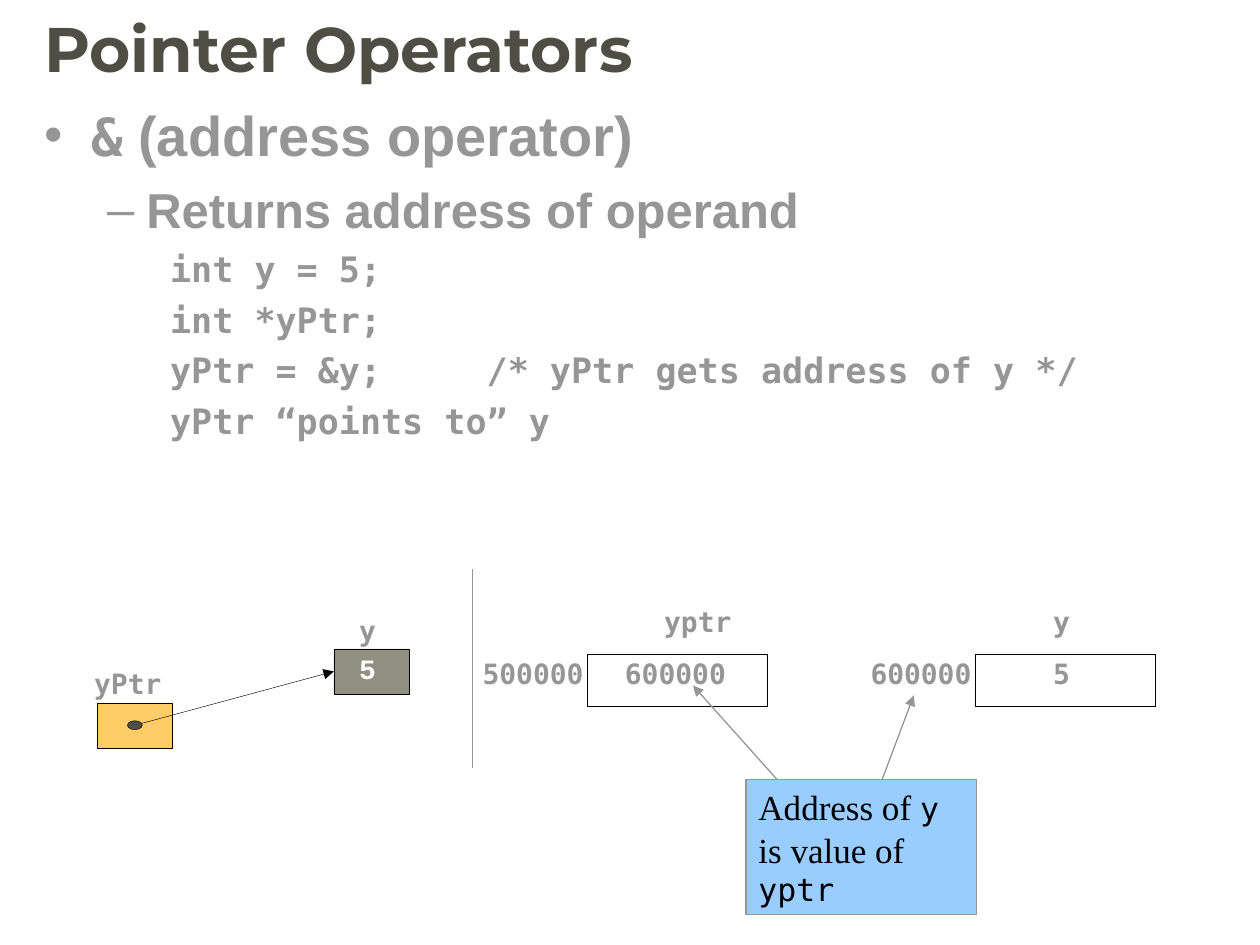
import dataclasses

import pptx
import pptx.dml.color
import pptx.enum.shapes
import pptx.enum.text
import pptx.oxml.ns
import pptx.util
from lxml import etree
from pptx.util import Cm

SHAPES = pptx.enum.shapes.MSO_SHAPE
ANCHORS = pptx.enum.text.MSO_ANCHOR


@dataclasses.dataclass(frozen=True)
class Theme:
    """Colours, fonts and type sizes of the slide."""

    dark: str = "4E4E44"
    gray: str = "969696"
    black: str = "000000"
    white: str = "FFFFFF"
    orange: str = "FFCC66"
    olive: str = "909082"
    blue: str = "99CCFF"
    heading: str = "Montserrat"
    sans: str = "Arial"
    serif: str = "Times New Roman"
    code: str = "DejaVu Sans Mono"
    digit: str = "Courier New"
    title_size: int = 36
    point_size: int = 32
    operator_size: int = 30
    detail_size: int = 28
    code_size: int = 20
    callout_size: int = 20
    callout_code_size: int = 18
    label_size: int = 16
    thin: float = 0.25
    medium: float = 0.75


THEME = Theme()


def rgb(value):
    """Turn a hex string into a colour."""
    return pptx.dml.color.RGBColor.from_string(value)


def add_element(parent, tag, **attributes):
    """Append a drawing element with attributes."""
    return etree.SubElement(parent, pptx.oxml.ns.qn(tag), attributes)


def format_span(span, font, size, color, bold=True):
    """Give a run its font, size, colour and weight."""
    span.font.name = font
    span.font.size = pptx.util.Pt(size)
    span.font.color.rgb = rgb(color)
    span.font.bold = bold


def add_spans(para, pieces, color, bold=True):
    """Add runs given as text, font and size."""
    for text, font, size in pieces:
        span = para.add_run()
        span.text = text
        format_span(span, font, size, color, bold)


def indent(para, margin, hanging, before, bullet=None):
    """Set indents, space before and an optional bullet."""
    para.space_before = pptx.util.Pt(before)
    properties = para._p.get_or_add_pPr()
    properties.set("marL", str(Cm(margin)))
    properties.set("indent", str(-Cm(hanging)))
    if bullet:
        color = add_element(properties, "a:buClr")
        add_element(color, "a:srgbClr", val=THEME.gray)
        add_element(properties, "a:buFont", typeface=THEME.sans)
        add_element(properties, "a:buChar", char=bullet)
    else:
        add_element(properties, "a:buNone")


def add_box(page, left, top, width, height, inset=True):
    """Add a wrapping text box."""
    box = page.shapes.add_textbox(Cm(left), Cm(top), Cm(width), Cm(height))
    frame = box.text_frame
    frame.word_wrap = True
    if not inset:
        frame.margin_left = frame.margin_right = 0
        frame.margin_top = frame.margin_bottom = 0
    return box


def add_label(page, text, left, top, width, height, spacing,
              font=THEME.code, color=THEME.gray):
    """Add a small bold label without insets."""
    box = add_box(page, left, top, width, height, inset=False)
    box.text_frame.text = text
    para = box.text_frame.paragraphs[0]
    para.line_spacing = spacing
    format_span(para.runs[0], font, THEME.label_size, color)


def add_figure(page, kind, left, top, width, height, fill=None,
               line=THEME.black, weight=THEME.thin):
    """Add a preset shape with an optional fill."""
    figure = page.shapes.add_shape(kind, Cm(left), Cm(top), Cm(width), Cm(height))
    figure.shadow.inherit = False
    if fill:
        figure.fill.solid()
        figure.fill.fore_color.rgb = rgb(fill)
    else:
        figure.fill.background()
    figure.line.color.rgb = rgb(line)
    figure.line.width = pptx.util.Pt(weight)
    return figure


def add_line(page, start, end, color=THEME.gray, weight=THEME.medium, arrow=True):
    """Add a straight line, with an arrowhead at its end if wanted."""
    line = page.shapes.add_connector(
        pptx.enum.shapes.MSO_CONNECTOR.STRAIGHT, *map(Cm, start + end))
    line.line.color.rgb = rgb(color)
    line.line.width = pptx.util.Pt(weight)
    if arrow:
        add_element(line.line._get_or_add_ln(), "a:tailEnd", type="triangle")
    add_element(line._element.spPr, "a:effectLst")
    return line


def add_title(page):
    """Add the slide title."""
    box = add_box(page, 0.64, 0, 21.79, 1.9)
    box.text_frame.vertical_anchor = ANCHORS.MIDDLE
    box.text_frame.text = "Pointer Operators"
    span = box.text_frame.paragraphs[0].runs[0]
    format_span(span, THEME.heading, THEME.title_size, THEME.dark)


def add_body(page):
    """Add the bullet points and the code lines."""
    frame = add_box(page, 0.64, 1.9, 21.79, 16.31).text_frame
    para = frame.paragraphs[0]
    indent(para, 0.95, 0.95, 8, "•")
    add_spans(para, [("&", THEME.code, THEME.operator_size),
                     (" (address operator)", THEME.sans, THEME.point_size)], THEME.gray)
    para = frame.add_paragraph()
    indent(para, 2.06, 0.79, 7, "–")
    add_spans(para, [("Returns address of operand", THEME.sans, THEME.detail_size)],
              THEME.gray)
    lines = [["int y = 5;"], ["int *yPtr;"],
             ["yPtr = &y;", " ", "/* yPtr gets address of y */"],
             ["yPtr “points to” y"]]
    for pieces in lines:
        para = frame.add_paragraph()
        indent(para, 3.18, 0.64, 5)
        add_spans(para, [(text, THEME.code, THEME.code_size) for text in pieces],
                  THEME.gray)
        for span in para.runs:
            if span.text == " ":
                span.font._element.set("spc", "4820")


def add_pointer_diagram(page):
    """Draw yPtr pointing to y."""
    add_figure(page, SHAPES.RECTANGLE, 1.96, 14.17, 1.52, 0.91, THEME.orange)
    target = add_figure(page, SHAPES.RECTANGLE, 6.73, 13.08, 1.52, 0.91, THEME.olive)
    arrow = add_line(page, (2.72, 14.62), (6.73, 13.54), THEME.black, THEME.thin)
    arrow.end_connect(target, 1)
    add_figure(page, SHAPES.OVAL, 2.57, 14.53, 0.3, 0.18, THEME.dark)
    add_label(page, "yPtr", 1.9, 13.61, 1.6, 0.53, 0.72)
    add_label(page, "y", 7.24, 12.55, 0.51, 0.53, 0.72)
    add_label(page, "5", 7.24, 13.31, 0.51, 0.53, 0.72, THEME.digit, THEME.white)


def add_memory_cell(page, left, address, name, name_left, value, value_left):
    """Draw a memory cell with its address, name and value."""
    add_label(page, name, name_left, 12.32, 1.42, 0.81, 0.8)
    add_label(page, address, left - 2.11, 13.36, 2.08, 0.81, 0.8)
    add_label(page, value, value_left, 13.36, 2.08, 0.81, 0.8)
    add_figure(page, SHAPES.RECTANGLE, left, 13.18, 3.63, 1.05)


def add_callout(page):
    """Add the blue note and its two arrows."""
    box = add_figure(page, SHAPES.RECTANGLE, 15.04, 15.72, 4.65, 2.72,
                     THEME.blue, THEME.gray, THEME.medium)
    frame = box.text_frame
    frame.word_wrap = True
    frame.auto_size = pptx.enum.text.MSO_AUTO_SIZE.SHAPE_TO_FIT_TEXT
    frame.vertical_anchor = ANCHORS.TOP
    para = frame.paragraphs[0]
    para.alignment = pptx.enum.text.PP_ALIGN.LEFT
    para.space_before = pptx.util.Pt(11.2)
    words = (THEME.serif, THEME.callout_size)
    code = (THEME.code, THEME.callout_code_size)
    add_spans(para, [("Address of ", *words), ("y", *code),
                     (" is value of ", *words), ("yptr", *code)],
              THEME.black, bold=False)
    add_line(page, (17.78, 15.72), (18.42, 14.02))
    add_line(page, (15.67, 15.72), (13.97, 13.82))


def main():
    """Build and save the slide."""
    deck = pptx.Presentation()
    deck.slide_width, deck.slide_height = Cm(25.4), Cm(19.05)
    page = deck.slides.add_slide(deck.slide_layouts[6])
    add_title(page)
    add_body(page)
    add_pointer_diagram(page)
    add_memory_cell(page, 11.84, "500000", "yptr", 13.39, "600000", 12.6)
    add_memory_cell(page, 19.66, "600000", "y", 21.23, "5", 21.23)
    add_line(page, (9.53, 11.48), (9.53, 15.49), arrow=False)
    add_callout(page)
    deck.save("out.pptx")


if __name__ == "__main__":
    main()
